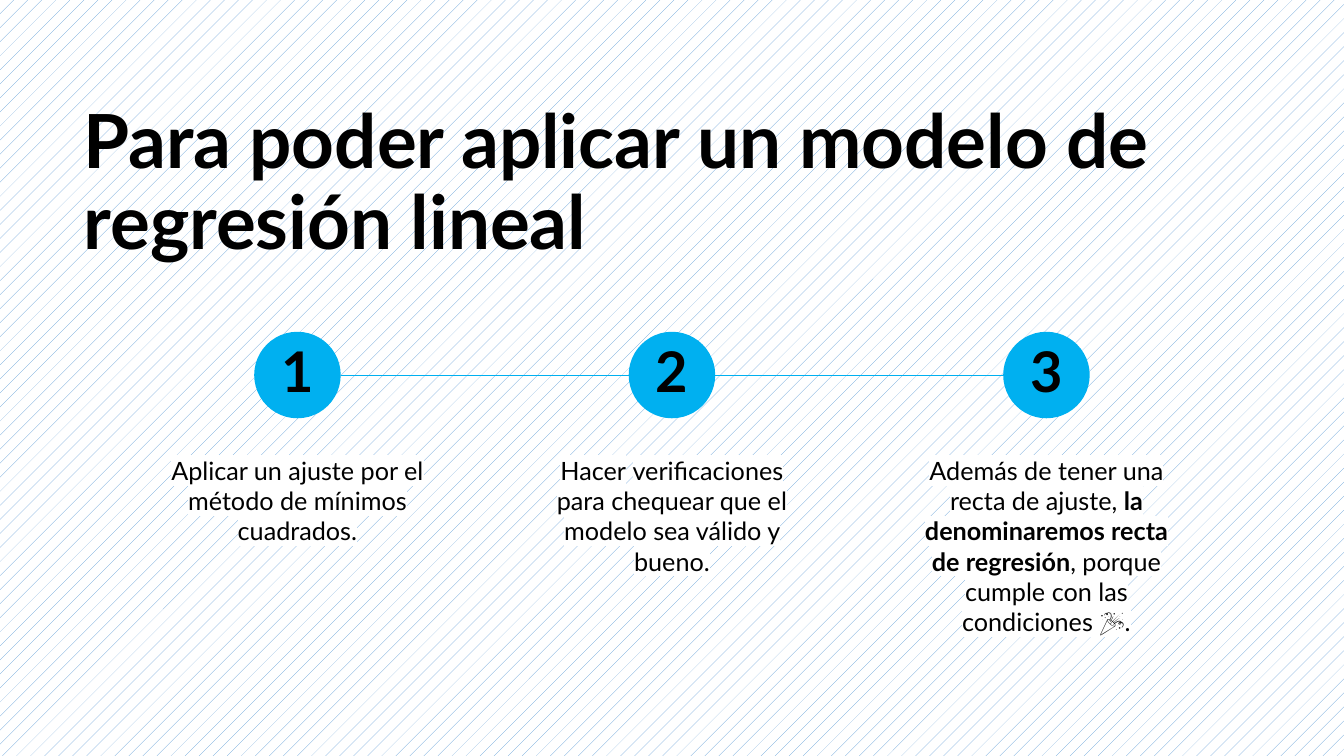
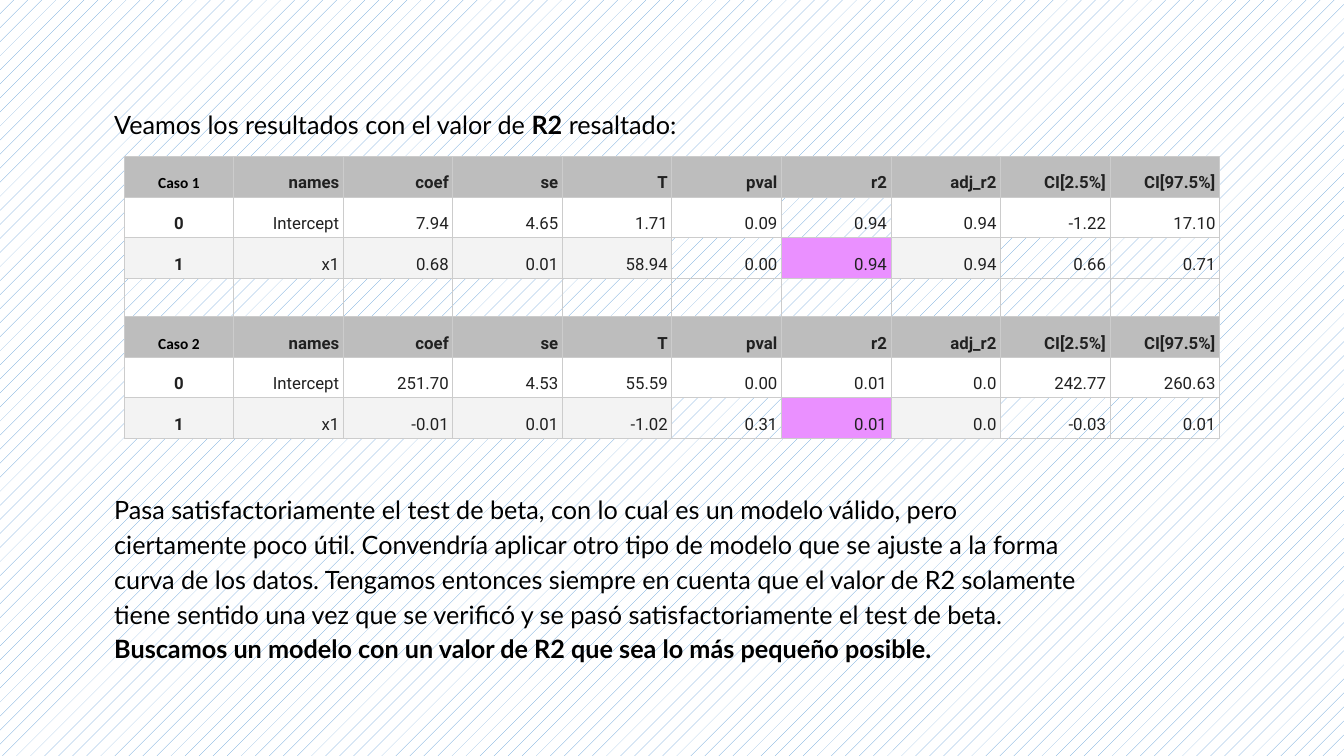
from itertools import pairwise

from lxml import etree
from pptx import Presentation
from pptx.dml.color import RGBColor
from pptx.enum import dml, shapes, text
from pptx.oxml import ns
from pptx.util import Pt

COLORS = {
    "text": "000000",
    "paper": "FFFFFF",
    "pattern": "5B9BD5",
    "step": "00B0F0",
    "cell_text": "212121",
    "header": "BDBDBD",
    "band": "F3F3F3",
    "mark": "EA90FF",
    "border": "CCCCCC",
}
TITLE = {"name": "Lato", "size": Pt(53.3), "bold": True}
BODY = {"name": "Lato", "size": Pt(18), "bold": False}
NUMBER = {"name": "Lato", "size": Pt(40), "bold": True}
CASE = {"name": "Calibri", "size": Pt(11), "bold": True}
CELL = {"name": "Roboto", "size": Pt(12), "bold": False}
STRONG = {"bold": True}
LEFT, CENTER, RIGHT = (
    text.PP_ALIGN.LEFT, text.PP_ALIGN.CENTER, text.PP_ALIGN.RIGHT)

SLIDE_WIDTH, SLIDE_HEIGHT = 960, 540
STEP_PITCH = 267.5
CIRCLE_SIZE = 61.8
CIRCLE_TOP = 237
STEPS = [
    [("Aplicar un ajuste por el método de mínimos cuadrados.", {})],
    [("Hacer", {}), (" ", {"highlight": None}),
     ("verificaciones para chequear que el modelo sea válido y bueno.", {})],
    [("Además de tener una recta de ajuste, ", {}),
     ("la denominaremos recta de regresión", STRONG),
     (", porque cumple con las condiciones 🎉.", {})],
]

HEADINGS = ["names", "coef", "se", "T", "pval", "r2", "adj_r2", "CI[2.5%]", "CI[97.5%]"]
RESULTS = [
    ["Caso 1", *HEADINGS],
    ["0", "Intercept", "7.94", "4.65", "1.71", "0.09", "0.94", "0.94", "-1.22", "17.10"],
    ["1", "x1", "0.68", "0.01", "58.94", "0.00", "0.94", "0.94", "0.66", "0.71"],
    [""] * 10,
    ["Caso 2", *HEADINGS],
    ["0", "Intercept", "251.70", "4.53", "55.59", "0.00", "0.01", "0.0", "242.77", "260.63"],
    ["1", "x1", "-0.01", "0.01", "-1.02", "0.31", "0.01", "0.0", "-0.03", "0.01"],
]
ROW_FILLS = ["header", "paper", "band", None, "header", "paper", "band"]
R2_COLUMN = HEADINGS.index("r2") + 1
CELL_FILLS = {(1, R2_COLUMN): None}
for slope_row in (2, 6):
    CELL_FILLS[slope_row, R2_COLUMN] = "mark"
    CELL_FILLS.update({(slope_row, column): None for column in (5, 8, 9)})


def rgb(name):
    return RGBColor.from_string(COLORS[name])


def set_highlight(span, color):
    """Mark the run's text; the element must follow the run's fill."""
    highlight = etree.Element(ns.qn("a:highlight"))
    etree.SubElement(highlight, ns.qn("a:srgbClr"), val=COLORS[color])
    span.font._element.find(ns.qn("a:solidFill")).addnext(highlight)


def write_spans(para, spans, base, color="text"):
    for words, changes in spans:
        span = para.add_run()
        span.text = words
        style = {**base, **changes}
        highlight = style.pop("highlight", None)
        for key, value in style.items():
            setattr(span.font, key, value)
        span.font.color.rgb = rgb(color)
        if highlight:
            set_highlight(span, highlight)


def add_text(page, bounds, spans, base, align=LEFT, spacing=1.0):
    box = page.shapes.add_textbox(*map(Pt, bounds))
    frame = box.text_frame
    frame.word_wrap = True
    frame.auto_size = text.MSO_AUTO_SIZE.SHAPE_TO_FIT_TEXT
    for side in ("left", "top", "right", "bottom"):
        setattr(frame, f"margin_{side}", Pt(9.6))
    para = frame.paragraphs[0]
    para.alignment, para.line_spacing = align, spacing
    write_spans(para, spans, base)


def add_circle(page, center):
    circle = page.shapes.add_shape(
        shapes.MSO_SHAPE.OVAL, Pt(center - CIRCLE_SIZE / 2), Pt(CIRCLE_TOP),
        Pt(CIRCLE_SIZE), Pt(CIRCLE_SIZE))
    circle.shadow.inherit = False
    circle.fill.solid()
    circle.fill.fore_color.rgb = rgb("step")
    circle.line.fill.background()


def add_link(page, start, end):
    """Draw a level line between the facing edges of two circles."""
    radius = CIRCLE_SIZE / 2
    height = Pt(CIRCLE_TOP + radius)
    link = page.shapes.add_connector(
        shapes.MSO_CONNECTOR.STRAIGHT,
        Pt(start + radius), height, Pt(end - radius), height)
    link.line.color.rgb = rgb("step")
    link.line.width = Pt(0.75)
    etree.SubElement(link._element.spPr, ns.qn("a:effectLst"))


def add_borders(cell):
    properties = cell._tc.get_or_add_tcPr()
    for index, side in enumerate("LRTB"):
        line = etree.Element(ns.qn(f"a:ln{side}"), w=str(Pt(0.75)))
        fill = etree.SubElement(line, ns.qn("a:solidFill"))
        etree.SubElement(fill, ns.qn("a:srgbClr"), val=COLORS["border"])
        properties.insert(index, line)


def format_cell(cell, words, fill, base, color, align):
    for side in ("left", "top", "right", "bottom"):
        setattr(cell, f"margin_{side}", Pt(2.9))
    cell.vertical_anchor = text.MSO_ANCHOR.BOTTOM
    if fill:
        cell.fill.solid()
        cell.fill.fore_color.rgb = rgb(fill)
    else:
        cell.fill.background()
    add_borders(cell)
    para = cell.text_frame.paragraphs[0]
    para.alignment, para.line_spacing = align, 1.15
    write_spans(para, [(words, {})], base, color)


def add_results(page, left, top, column_width):
    frame = page.shapes.add_table(
        len(RESULTS), len(RESULTS[0]), Pt(left), Pt(top),
        Pt(column_width * len(RESULTS[0])), Pt(201.5))
    table = frame.table
    table.first_row = table.horz_banding = False
    for column in table.columns:
        column.width = Pt(column_width)
    for r, (row, values) in enumerate(zip(table.rows, RESULTS)):
        row.height = Pt(29 if ROW_FILLS[r] else 27.5)
        header = ROW_FILLS[r] == "header"
        for c, words in enumerate(values):
            is_case = header and c == 0
            base = CASE if is_case else {**CELL, "bold": header or c == 0}
            format_cell(
                table.cell(r, c), words, CELL_FILLS.get((r, c), ROW_FILLS[r]),
                base, "text" if is_case else "cell_text", RIGHT if c else CENTER)


def set_background(master):
    fill = master.background.fill
    fill.patterned()
    fill.pattern = dml.MSO_PATTERN.PERCENT_5
    fill.fore_color.rgb = rgb("pattern")
    fill.back_color.rgb = rgb("paper")


def build_steps(page):
    add_text(page, (50, 65, 855, 135),
             [("Para poder aplicar un modelo de regresión lineal", {})],
             TITLE, spacing=0.9)
    centers = [SLIDE_WIDTH / 2 + STEP_PITCH * k for k in (-1, 0, 1)]
    for number, (center, spans) in enumerate(zip(centers, STEPS), 1):
        add_circle(page, center)
        add_text(page, (center - 21.5, 236, 43, 63), [(str(number), {})],
                 NUMBER, CENTER, 0.9)
        add_text(page, (center - 102.25, 315.5, 204.5, 145), spans,
                 {**BODY, "highlight": "paper"}, CENTER)
    for start, end in pairwise(centers):
        add_link(page, start, end)


def build_results(page):
    add_text(page, (72, 57.5, 640, 52),
             [("Veamos los resultados con el valor de ", {}), ("R2", STRONG),
              (" resaltado:", {})], BODY, spacing=1.5)
    add_text(page, (72, 340.5, 720, 145), [
        ("Pasa satisfactoriamente el test de beta, con lo cual es un modelo válido, "
         "pero ciertamente poco útil. Convendría aplicar otro tipo de modelo que se "
         "ajuste a la forma curva de los datos. Tengamos entonces siempre en cuenta "
         "que el valor de R2 solamente tiene sentido una vez que se verificó y se pasó "
         "satisfactoriamente el test de beta. ", {}),
        ("Buscamos un modelo con un valor de R2 que sea lo más pequeño posible.", STRONG),
    ], BODY, spacing=1.15)
    add_results(page, 88.75, 111.75, 78.25)


def main():
    deck = Presentation()
    deck.slide_width, deck.slide_height = Pt(SLIDE_WIDTH), Pt(SLIDE_HEIGHT)
    set_background(deck.slide_master)
    for build in (build_steps, build_results):
        build(deck.slides.add_slide(deck.slide_layouts[6]))
    deck.save("out.pptx")


if __name__ == "__main__":
    main()
